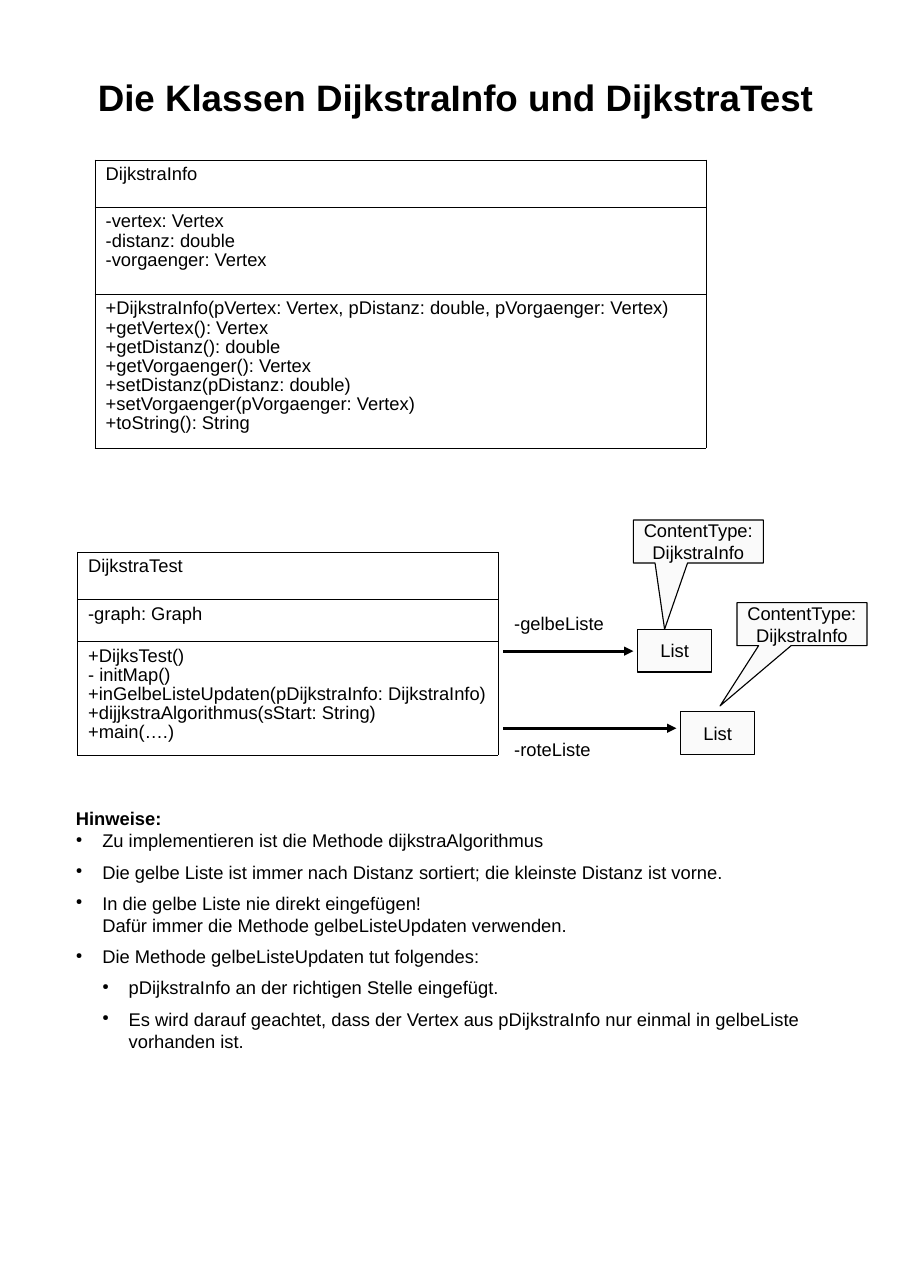
from lxml import etree
from pptx import Presentation
from pptx.dml.color import RGBColor
from pptx.enum.shapes import MSO_CONNECTOR, MSO_SHAPE
from pptx.enum.text import MSO_ANCHOR, MSO_AUTO_SIZE, PP_ALIGN
from pptx.oxml.ns import qn
from pptx.util import Inches, Pt

BLACK = RGBColor(0x00, 0x00, 0x00)
PALE = RGBColor(0xFA, 0xFA, 0xFA)
FONT = "Arial"
BODY = 12
HAIRLINE = Pt(0.06)
INDENT = 0.24
TOP, MIDDLE = MSO_ANCHOR.TOP, MSO_ANCHOR.MIDDLE
LEFT, CENTER = PP_ALIGN.LEFT, PP_ALIGN.CENTER
RECT, CALLOUT = MSO_SHAPE.RECTANGLE, MSO_SHAPE.RECTANGULAR_CALLOUT
STRAIGHT = MSO_CONNECTOR.STRAIGHT
NO_FIT = MSO_AUTO_SIZE.NONE

INFO_CLASS = [
    (0.43, ["DijkstraInfo"]),
    (0.79, ["-vertex: Vertex", "-distanz: double", "-vorgaenger: Vertex"]),
    (1.4, [
        "+DijkstraInfo(pVertex: Vertex, pDistanz: double, pVorgaenger: Vertex)",
        "+getVertex(): Vertex",
        "+getDistanz(): double",
        "+getVorgaenger(): Vertex",
        "+setDistanz(pDistanz: double)",
        "+setVorgaenger(pVorgaenger: Vertex)",
        "+toString(): String",
    ]),
]
TEST_CLASS = [
    (0.43, ["DijkstraTest"]),
    (0.38, ["-graph: Graph"]),
    (1.03, [
        "+DijksTest()",
        "- initMap()",
        "+inGelbeListeUpdaten(pDijkstraInfo: DijkstraInfo)",
        "+dijjkstraAlgorithmus(sStart: String)",
        "+main(….)",
    ]),
]
HINTS = [
    (0, "Zu implementieren ist die Methode dijkstraAlgorithmus"),
    (0, "Die gelbe Liste ist immer nach Distanz sortiert; die kleinste Distanz ist vorne."),
    (0, "In die gelbe Liste nie direkt eingefügen!\n"
        "Dafür immer die Methode gelbeListeUpdaten verwenden."),
    (0, "Die Methode gelbeListeUpdaten tut folgendes:"),
    (1, "pDijkstraInfo an der richtigen Stelle eingefügt."),
    (1, "Es wird darauf geachtet, dass der Vertex aus pDijkstraInfo nur einmal "
        "in gelbeListe vorhanden ist."),
]


def box(*lengths):
    return [Inches(length) for length in lengths]


class ClassSlide:
    def __init__(self, prs):
        self.s = prs.slides.add_slide(prs.slide_layouts[5])

    def style(self, p, size=BODY, bold=False, align=LEFT):
        p.alignment = align
        for r in p.runs:
            r.font.name = FONT
            r.font.size = Pt(size)
            r.font.bold = bold
            r.font.color.rgb = BLACK
        for br in p._p.findall(qn("a:br")):
            etree.SubElement(br, qn("a:rPr"), sz=str(size * 100))

    def title(self, text, *place):
        sp = self.s.shapes.title
        sp.left, sp.top, sp.width, sp.height = box(*place)
        tf = sp.text_frame
        tf.text = text
        tf.auto_size = NO_FIT
        tf.vertical_anchor = TOP
        self.style(tf.paragraphs[0], 24, True, CENTER)

    def text(self, text, *place, bold=False):
        tf = self.s.shapes.add_textbox(*box(*place)).text_frame
        tf.word_wrap = True
        tf.text = text
        self.style(tf.paragraphs[0], bold=bold)
        return tf

    def bullet(self, tf, level, text):
        p = tf.add_paragraph()
        p.text = text
        p.level = level
        p.space_after = Pt(6)
        pPr = p._p.get_or_add_pPr()
        pPr.set("marL", str(Inches(INDENT * (level + 1))))
        pPr.set("indent", str(-Inches(INDENT)))
        color = etree.SubElement(pPr, qn("a:buClr"))
        etree.SubElement(color, qn("a:srgbClr"), val=str(BLACK))
        etree.SubElement(pPr, qn("a:buSzPct"), val="45000")
        etree.SubElement(pPr, qn("a:buChar"), char="●")
        self.style(p)

    def class_table(self, rows, left, top, width):
        height = sum(h for h, _ in rows)
        frame = self.s.shapes.add_table(len(rows), 1, *box(left, top, width, height))
        table = frame.table
        table.first_row = table.horz_banding = False
        for i, (h, lines) in enumerate(rows):
            table.rows[i].height = Inches(h)
            cell = table.cell(i, 0)
            cell.text_frame.text = "\n".join(lines)
            for p in cell.text_frame.paragraphs:
                p.line_spacing = 0.93
                self.style(p)
            cell.fill.background()
            self.borders(cell)

    def borders(self, cell):
        tcPr = cell._tc.get_or_add_tcPr()
        for i, side in enumerate(("lnL", "lnR", "lnT", "lnB")):
            ln = etree.Element(qn("a:" + side), w=str(HAIRLINE))
            fill = etree.SubElement(ln, qn("a:solidFill"))
            etree.SubElement(fill, qn("a:srgbClr"), val=str(BLACK))
            tcPr.insert(i, ln)

    def shape(self, kind, text, *place, tip=()):
        sp = self.s.shapes.add_shape(kind, *box(*place))
        sp.shadow.inherit = False
        sp.fill.solid()
        sp.fill.fore_color.rgb = PALE
        sp.line.color.rgb = BLACK
        sp.line.width = Pt(0)
        for i, value in enumerate(tip):
            sp.adjustments[i] = value
        tf = sp.text_frame
        tf.word_wrap = False
        tf.vertical_anchor = MIDDLE
        p = tf.paragraphs[0]
        p.text = text
        self.style(p, align=CENTER)

    def arrow(self, x1, x2, y):
        c = self.s.shapes.add_connector(STRAIGHT, *box(x1, y, x2, y))
        c.line.color.rgb = BLACK
        c.line.width = Pt(0)
        etree.SubElement(c.line._get_or_add_ln(), qn("a:tailEnd"), type="triangle")
        etree.SubElement(c._element.spPr, qn("a:effectLst"))


def main():
    prs = Presentation()
    prs.slide_width, prs.slide_height = box(8.27, 11.69)
    slide = ClassSlide(prs)
    slide.title("Die Klassen DijkstraInfo und DijkstraTest", 0.59, 0.63, 7.09, 0.47)
    slide.class_table(INFO_CLASS, 0.86, 1.45, 5.55)
    slide.class_table(TEST_CLASS, 0.7, 5.01, 3.82)

    for name, label_y, arrow_y, arrow_end, list_x, list_y in (
        ("-gelbeListe", 5.51, 5.91, 5.75, 5.79, 5.71),
        ("-roteListe", 6.65, 6.61, 6.14, 6.18, 6.46),
    ):
        slide.arrow(4.57, arrow_end, arrow_y)
        slide.text(name, 4.57, label_y, 1.57, 0.29)
        slide.shape(RECT, "List", list_x, list_y, 0.67, 0.39)

    for x, y, tip in ((5.75, 4.72, (-0.26, 2.04)), (6.69, 5.47, (-0.63, 1.9))):
        slide.shape(CALLOUT, "ContentType:\nDijkstraInfo", x, y, 1.18, 0.39, tip=tip)

    hints = slide.text("Hinweise:", 0.59, 7.28, 7.09, 2.46, bold=True)
    for level, text in HINTS:
        slide.bullet(hints, level, text)
    prs.save("out.pptx")


if __name__ == "__main__":
    main()
